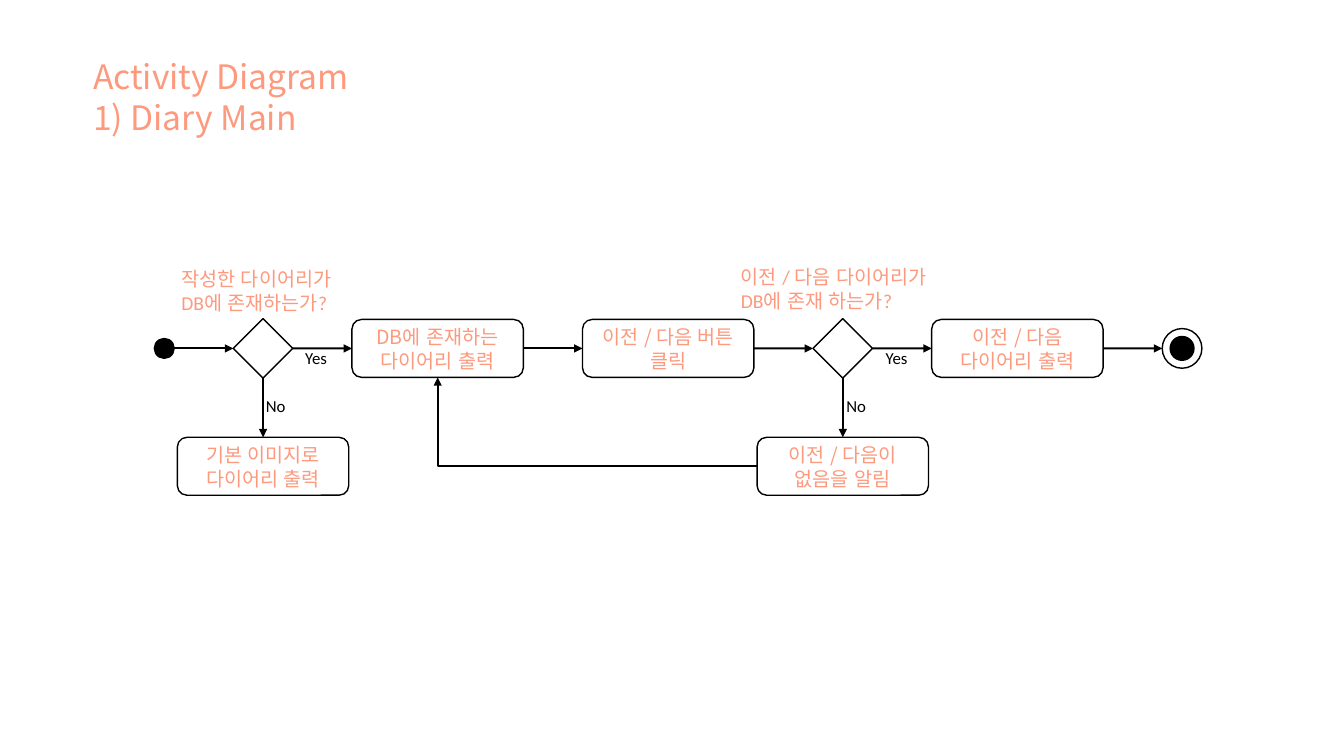
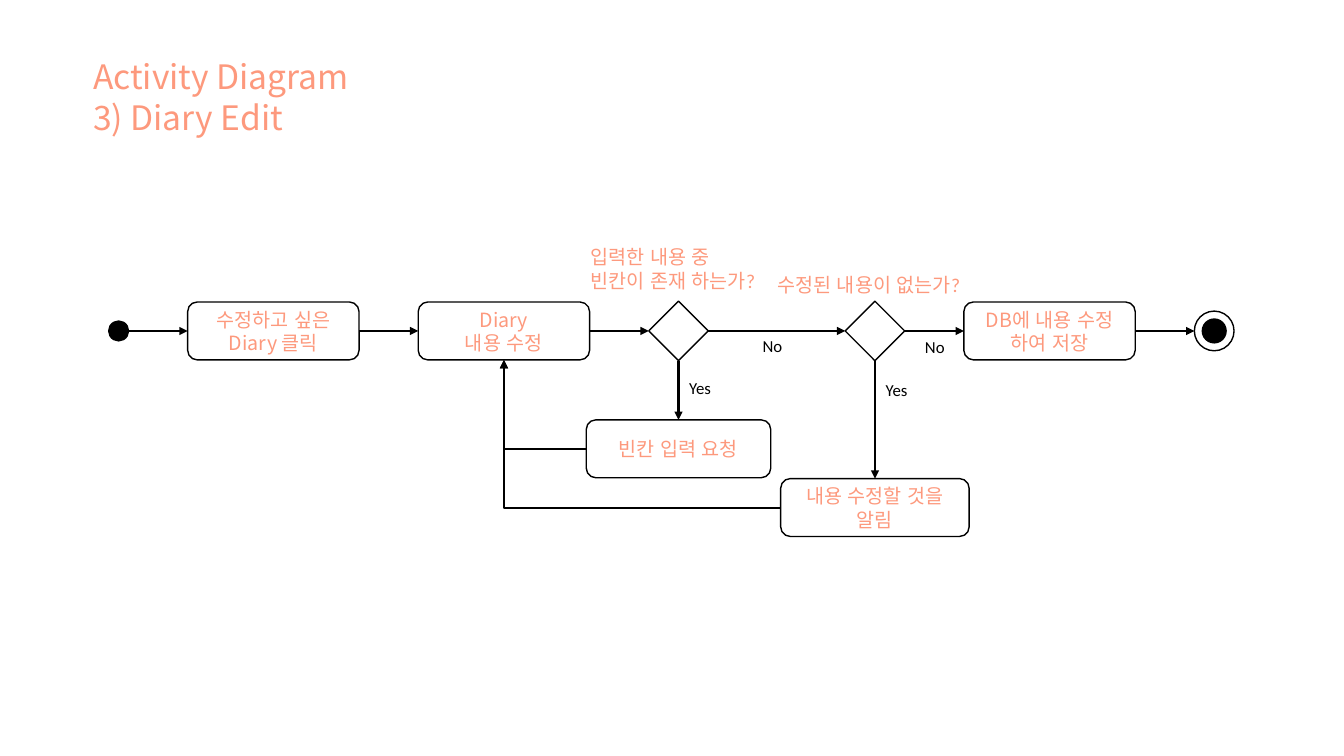
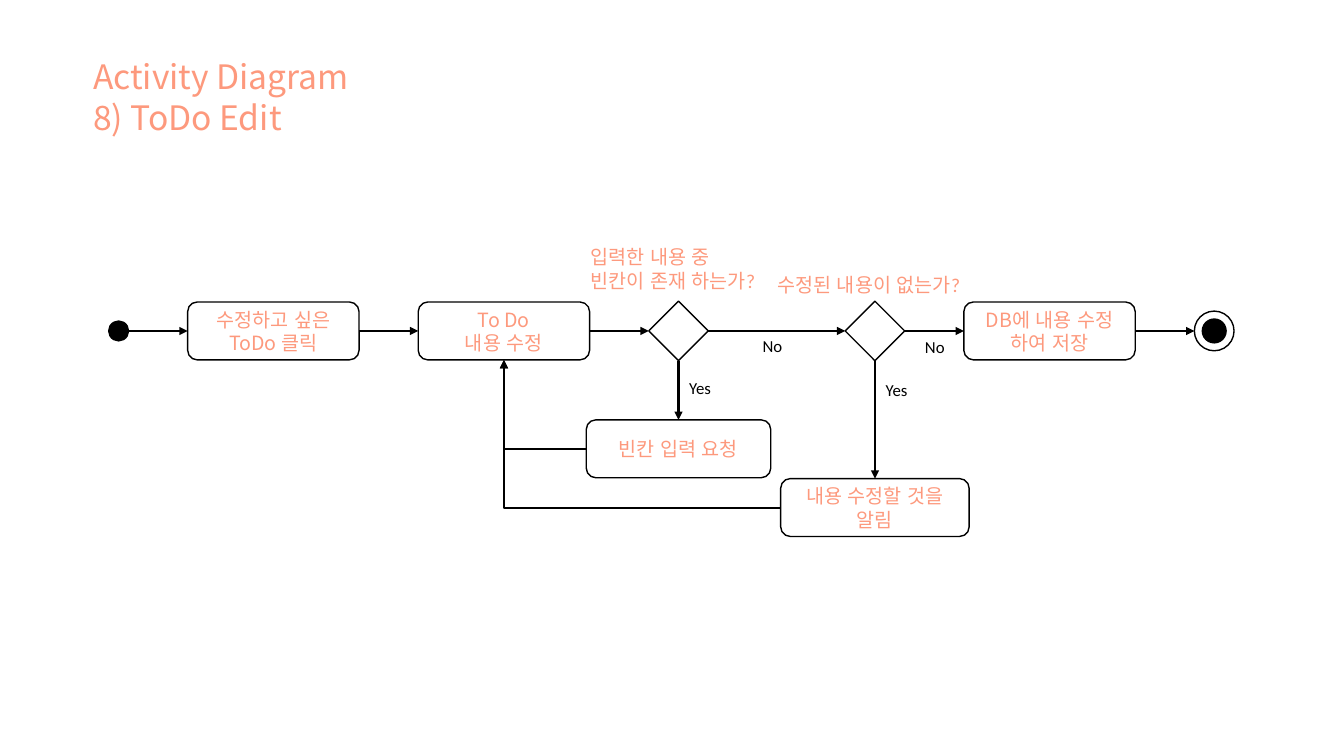
"""Builds three activity diagram slides with python-pptx."""
from dataclasses import dataclass

from pptx import Presentation
from pptx.dml.color import RGBColor
from pptx.enum.lang import MSO_LANGUAGE_ID
from pptx.enum.shapes import MSO_CONNECTOR, MSO_SHAPE
from pptx.enum.text import MSO_ANCHOR, MSO_AUTO_SIZE, PP_ALIGN
from pptx.oxml.ns import qn
from pptx.oxml.xmlchemy import OxmlElement
from pptx.shapes.autoshape import Shape
from pptx.slide import Slide
from pptx.text.text import TextFrame
from pptx.util import Cm, Pt

BOX = MSO_SHAPE.ROUNDED_RECTANGLE
GEM = MSO_SHAPE.DIAMOND
DISC = MSO_SHAPE.OVAL
LINE = MSO_CONNECTOR.STRAIGHT
BEND = MSO_CONNECTOR.ELBOW
LEFT = PP_ALIGN.LEFT
MID = PP_ALIGN.CENTER
CENTER = MSO_ANCHOR.MIDDLE
FIXED = MSO_AUTO_SIZE.NONE
KOREAN = MSO_LANGUAGE_ID.KOREAN

CORAL = RGBColor(0xFD, 0x99, 0x7D)
BLACK = RGBColor(0, 0, 0)
SANS = "Noto Sans CJK KR"
PLAIN = "Calibri"

GAP = 1.49
BOX_W, BOX_H = 4.32, 1.46
GEM_D, DOT_D, RING_D, CORE_D = 1.5, 0.5, 1.0, 0.6
TOP, WEST, SOUTH, EAST = range(4)


@dataclass(frozen=True)
class Style:
    """Look of a text."""
    font: str
    size: int
    color: RGBColor
    align: PP_ALIGN = LEFT


HEAD = Style(SANS, 24, CORAL)
STEP = Style(SANS, 14, CORAL, MID)
ASK = Style(PLAIN, 14, CORAL)
TAG = Style(PLAIN, 12, BLACK)


@dataclass(frozen=True)
class Node:
    """Step in the main row, with the gap that follows it."""
    kind: MSO_SHAPE
    wide: float
    high: float
    text: tuple[str, ...] = ()
    solid: bool = False
    gap: float = GAP


@dataclass(frozen=True)
class Branch:
    """Box below a decision, which may lead back to a step of the row."""
    root: int
    text: str
    wide: float = BOX_W
    drop: float = GAP
    back: int | None = None


@dataclass(frozen=True)
class Label:
    """Free text at a place."""
    left: float
    top: float
    text: tuple[str, ...]
    wide: float = 1.25
    style: Style = TAG


@dataclass(frozen=True)
class Flow:
    """Content of one slide."""
    name: str
    left: float
    mid: float
    row: tuple[Node, ...]
    arms: tuple[Branch, ...]
    labels: tuple[Label, ...]


def step(*text: str) -> Node:
    """Make an action box."""
    return Node(BOX, BOX_W, BOX_H, text)


START = Node(DISC, DOT_D, DOT_D, solid=True)
TEST = Node(GEM, GEM_D, GEM_D)
LONG = Node(GEM, GEM_D, GEM_D, gap=3.45)
END = Node(DISC, RING_D, RING_D)
CORE = Node(DISC, CORE_D, CORE_D, solid=True)


def write(frame: TextFrame, lines: tuple[str, ...], style: Style) -> None:
    """Fill a frame, one paragraph for each line."""
    for i, line in enumerate(lines):
        para = frame.add_paragraph() if i else frame.paragraphs[0]
        para.alignment = style.align
        para.line_spacing = Pt(round(1.22 * style.size, 1))
        run = para.add_run()
        run.text = line
        font = run.font
        font.name, font.size = style.font, Pt(style.size)
        font.color.rgb = style.color
        font.language_id = KOREAN
        east = OxmlElement("a:ea")
        east.set("typeface", SANS)
        run._r.get_or_add_rPr().find(qn("a:latin")).addnext(east)


def put(slide: Slide, node: Node, left: float, mid: float) -> Shape:
    """Draw a node from its left edge and its middle height."""
    shape = slide.shapes.add_shape(
        node.kind, Cm(left), Cm(mid - node.high / 2), Cm(node.wide), Cm(node.high))
    shape.shadow.inherit = False
    if node.solid:
        shape.fill.solid()
        shape.fill.fore_color.rgb = BLACK
    else:
        shape.fill.background()
    shape.line.color.rgb = BLACK
    shape.line.width = Pt(1)
    if node.text:
        shape.text_frame.word_wrap = True
        shape.text_frame.vertical_anchor = CENTER
        write(shape.text_frame, node.text, STEP)
    return shape


def site(shape: Shape, side: int) -> tuple[int, int]:
    """Find the middle of one side of a shape."""
    half, mid = shape.width // 2, shape.height // 2
    across = {WEST: 0, EAST: shape.width}.get(side, half)
    down = {TOP: 0, SOUTH: shape.height}.get(side, mid)
    return shape.left + across, shape.top + down


def link(slide: Slide, tail: Shape, out: int, head: Shape, into: int,
         kind: MSO_CONNECTOR = LINE) -> None:
    """Join two shapes with an arrow."""
    wire = slide.shapes.add_connector(kind, *site(tail, out), *site(head, into))
    if tail.auto_shape_type != DISC:
        wire.begin_connect(tail, out)
    if head.auto_shape_type != DISC:
        wire.end_connect(head, into)
    wire.line.color.rgb = BLACK
    wire.line.width = Pt(1.5)
    props = wire.element.spPr
    tip = OxmlElement("a:tailEnd")
    tip.set("type", "triangle")
    props.find(qn("a:ln")).append(tip)
    props.append(OxmlElement("a:effectLst"))
    if kind == BEND:
        props.find(qn("a:prstGeom")).set("prst", "bentConnector2")
        form = props.find(qn("a:xfrm"))
        for flip in ("flipH", "flipV"):
            form.attrib.pop(flip, None)
        form.set("rot", "10800000")


def note(slide: Slide, label: Label) -> None:
    """Draw a free text."""
    high = 0.25 + len(label.text) * label.style.size * 0.043
    box = slide.shapes.add_textbox(
        Cm(label.left), Cm(label.top), Cm(label.wide), Cm(high))
    box.text_frame.word_wrap = False
    write(box.text_frame, label.text, label.style)


def title(slide: Slide, name: str) -> None:
    """Place the shared title."""
    head = slide.shapes.title
    head.left, head.top, head.width, head.height = Cm(2.09), Cm(1.57), Cm(7.7), Cm(1.7)
    frame = head.text_frame
    frame.auto_size = FIXED
    frame.vertical_anchor = CENTER
    write(frame, ("Activity Diagram", name), HEAD)


def draw(slide: Slide, flow: Flow) -> None:
    """Draw a whole diagram."""
    title(slide, flow.name)
    left, mids, row = flow.left, [], []
    for node in flow.row:
        row.append(put(slide, node, left, flow.mid))
        mids.append(left + node.wide / 2)
        left += node.wide + node.gap
    put(slide, CORE, mids[-1] - CORE_D / 2, flow.mid)
    for tail, head in zip(row, row[1:]):
        link(slide, tail, EAST, head, WEST)
    for arm in flow.arms:
        mid = flow.mid + GEM_D / 2 + arm.drop + BOX_H / 2
        node = Node(BOX, arm.wide, BOX_H, (arm.text,))
        box = put(slide, node, mids[arm.root] - arm.wide / 2, mid)
        link(slide, row[arm.root], SOUTH, box, TOP)
        if arm.back is not None:
            link(slide, box, WEST, row[arm.back], SOUTH, BEND)
    for label in flow.labels:
        note(slide, label)


def edit(name: str, item: str, head: str) -> Flow:
    """Describe the editing of one kind of item."""
    return Flow(
        name, 2.74, 8.34,
        (START, step(f"수정하고 싶은 {item} 클릭"), step(head, "내용 수정"),
         LONG, TEST, step("DB에 내용 수정 하여 저장"), END),
        (Branch(3, "빈칸 입력 요청", 4.65, back=2),
         Branch(4, "내용 수정할 것을 알림", 4.75, 2.97, 2)),
        (Label(14.63, 6.03, ("입력한 내용 중", "빈칸이 존재 하는가?"), 4.95, ASK),
         Label(19.34, 6.74, ("수정된 내용이 없는가?",), 5.46, ASK),
         Label(18.97, 8.33, ("No",)), Label(23.06, 8.36, ("No",)),
         Label(17.12, 9.38, ("Yes",)), Label(22.07, 9.43, ("Yes",))))


MAIN = Flow(
    "1) Diary Main", 3.89, 8.78,
    (START, TEST, step("DB에 존재하는 다이어리 출력"), step("이전 / 다음 버튼 클릭"),
     TEST, step("이전 / 다음 다이어리 출력"), END),
    (Branch(1, "기본 이미지로 다이어리 출력"),
     Branch(4, "이전 / 다음이 없음을 알림", back=2)),
    (Label(4.32, 6.6, ("작성한 다이어리가", "DB에 존재하는가?"), 4.62, ASK),
     Label(18.42, 6.55, ("이전 / 다음 다이어리가", "DB에 존재 하는가?"), 5.69, ASK),
     Label(7.44, 8.64, ("Yes",)), Label(22.07, 8.64, ("Yes",)),
     Label(6.45, 9.83, ("No",)), Label(21.08, 9.83, ("No",))))

FLOWS = (MAIN, edit("3) Diary Edit", "Diary", "Diary"),
         edit("8) ToDo Edit", "ToDo", "To Do"))


def main() -> None:
    """Build and save the deck."""
    deck = Presentation()
    deck.slide_width, deck.slide_height = Cm(33.87), Cm(19.05)
    for flow in FLOWS:
        draw(deck.slides.add_slide(deck.slide_layouts[5]), flow)
    deck.save("out.pptx")


main()
